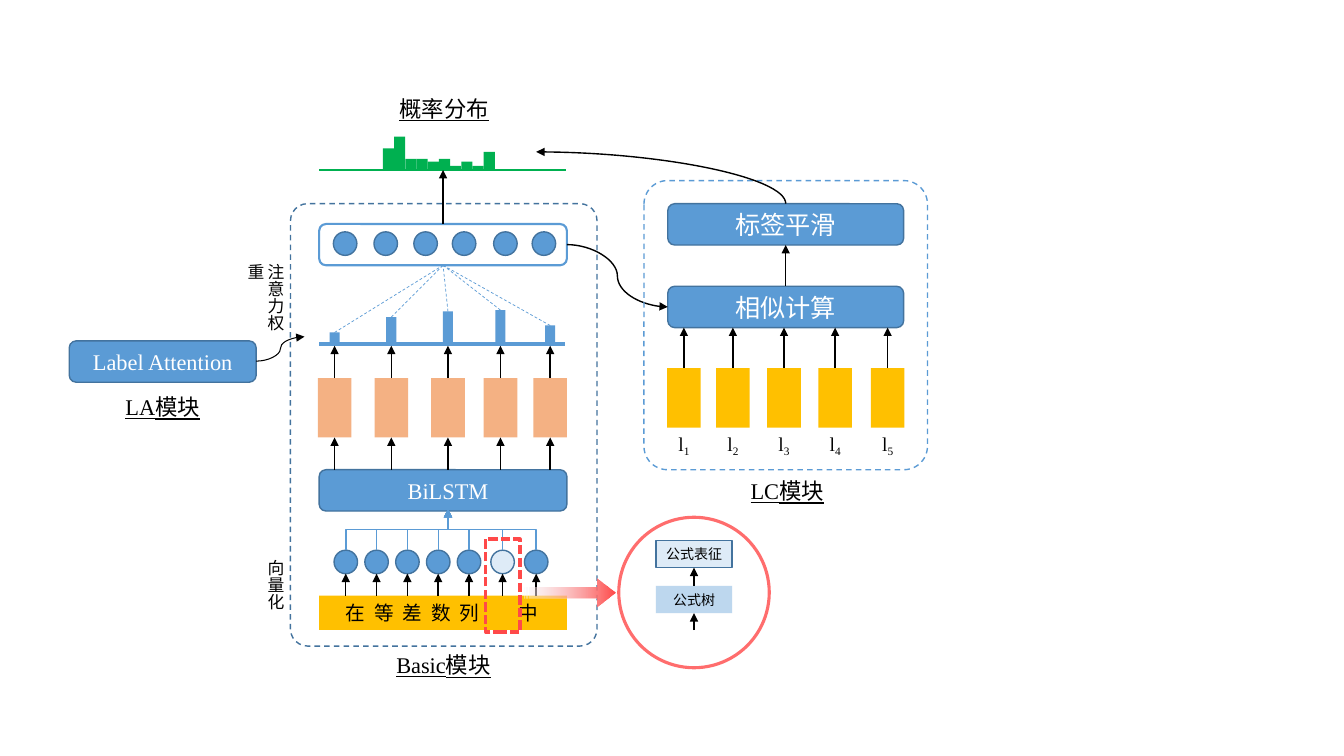
import pptx
import pptx.util
import pptx.dml.color
import pptx.enum.dml
import pptx.enum.shapes
import pptx.enum.text
import pptx.oxml
import pptx.oxml.ns

Pt = pptx.util.Pt
SHAPE = pptx.enum.shapes.MSO_SHAPE
LINK = pptx.enum.shapes.MSO_CONNECTOR
DASH = pptx.enum.dml.MSO_LINE
ALIGN = pptx.enum.text.PP_ALIGN
qn = pptx.oxml.ns.qn

BLUE, EDGE, PALE, SKY = "5B9BD5", "43739E", "DEEBF7", "BDD7EE"
GOLD, SALMON, GREEN, RED = "FFC000", "F4B183", "00B050", "FF4949"
BLACK, WHITE = "000000", "FFFFFF"
SERIF, SANS = "Times New Roman", "Calibri"

TOKENS = ["在", "等", "差", "数", "列", "中"]
TOKEN_TABS = [20.4, 40.8, 61.2, 81.6, 123.9]
EMBEDDING_CENTERS = [247, 269, 291, 313, 335, 359, 383]
FORMULA_INDEX = 5
HIDDEN_CENTERS = [239, 279.5, 320, 357.5, 393]
ATTENTION_HEIGHTS = [8, 19, 23, 24, 13]
OUTPUT_CENTERS = [246.5, 275.5, 304, 331.5, 361, 388.5]
PROBABILITY_HEIGHTS = [15.5, 24, 8, 8, 6, 8, 3, 6, 3, 13]
LABEL_CENTERS = [488.5, 523.5, 560, 596.5, 634]
CAPTIONS = [
    ("概率分布", SANS, 270, 64),
    ("Basic模块", SERIF, 269.5, 461.5),
    ("LC模块", SERIF, 515, 337),
    ("LA模块", SERIF, 69, 277),
]
SIDE_NOTES = [("向量化", 393, 65), ("注意力权重", 181.5, 73.5)]

BASIC_LEFT, BASIC_WIDTH = 228, 177
BOX_HEIGHT, CIRCLE, BLOCK_WIDTH, BLOCK_HEIGHT = 29.5, 16.8, 24, 42.5
TOKEN_TOP, EMBEDDING_TOP, BILSTM_TOP = 425.5, 393, 335.5
HIDDEN_TOP, ATTENTION_BASE, OUTPUT_TOP = 270, 245.5, 160
PROBABILITY_BASE, PROBABILITY_LEFT, PROBABILITY_STEP = 121.5, 273.5, 8
ATTENTION_WIDTH = 7.2
LABEL_TOP = 263

presentation = pptx.Presentation()
presentation.slide_width, presentation.slide_height = Pt(960), Pt(540)
slide = presentation.slides.add_slide(presentation.slide_layouts[6])


def rgb(value):
    return pptx.dml.color.RGBColor.from_string(value)


def set_alpha(color_node, percent):
    pptx.oxml.ns  # noqa
    alpha = color_node.makeelement(qn("a:alpha"), {"val": str(percent * 1000)})
    color_node.append(alpha)


def write(part, text, size=16, font=SERIF, color=WHITE, align=ALIGN.CENTER,
          underline=False, inset=(0, 0), wrap=True, subscript=None):
    frame = part.text_frame
    frame.word_wrap = wrap
    frame.margin_left, frame.margin_right = Pt(inset[0]), Pt(inset[1])
    frame.vertical_anchor = pptx.enum.text.MSO_ANCHOR.MIDDLE
    paragraph = frame.paragraphs[0]
    paragraph.alignment = align
    for piece in filter(None, (text, subscript)):
        run = paragraph.add_run()
        run.text = piece
        run.font.size, run.font.name = Pt(size), font
        run.font.underline = underline
        run.font.color.rgb = rgb(color)
        if piece == subscript:
            run.font._element.set("baseline", "-25000")
    return paragraph


def textbox(left, top, width, height, text, **style):
    box = slide.shapes.add_textbox(Pt(left), Pt(top), Pt(width), Pt(height))
    write(box, text, **style)
    return box


def shape(kind, left, top, width, height, fill=None, line=None, weight=1, dash=None, adjust=()):
    part = slide.shapes.add_shape(kind, Pt(left), Pt(top), Pt(width), Pt(height))
    part.shadow.inherit = False
    for index, value in enumerate(adjust):
        part.adjustments[index] = value
    if fill:
        part.fill.solid()
        part.fill.fore_color.rgb = rgb(fill)
    else:
        part.fill.background()
    if line:
        part.line.color.rgb = rgb(line)
        part.line.width = Pt(weight)
        if dash:
            part.line.dash_style = dash
    else:
        part.line.fill.background()
    return part


def circle(center, top, fill=BLUE):
    return shape(SHAPE.OVAL, center - CIRCLE / 2, top, CIRCLE, CIRCLE, fill, EDGE)


def rounded(left, top, width, text, **style):
    part = shape(SHAPE.ROUNDED_RECTANGLE, left, top, width, BOX_HEIGHT, BLUE, EDGE)
    write(part, text, **style)
    return part


def link(x1, y1, x2, y2, kind=LINK.STRAIGHT, color=BLACK, weight=1, arrow=True,
         dash=None, start=None, end=None):
    part = slide.shapes.add_connector(kind, Pt(x1), Pt(y1), Pt(x2), Pt(y2))
    part.line.color.rgb = rgb(color)
    part.line.width = Pt(weight)
    if dash:
        part.line.dash_style = dash
    if arrow:
        outline = part.line._get_or_add_ln()
        outline.append(outline.makeelement(qn("a:tailEnd"), {"type": "triangle"}))
    properties = part._element.spPr
    properties.append(properties.makeelement(qn("a:effectLst"), {}))
    if start:
        part.begin_connect(*start)
    if end:
        part.end_connect(*end)
    return part


def upward_link(x1, y1, x2, y2, kind, **style):
    middle_x, middle_y = (x1 + x2) / 2, (y1 + y2) / 2
    run, rise = abs(x2 - x1) / 2, (y1 - y2) / 2
    turn = run if x2 > x1 else -run
    part = link(middle_x - rise, middle_y - turn, middle_x + rise, middle_y + turn, kind, **style)
    part._element.spPr.find(qn("a:xfrm")).set("rot", "16200000")
    return part


token_bar = shape(SHAPE.RECTANGLE, BASIC_LEFT, TOKEN_TOP, BASIC_WIDTH, 24.5, GOLD)
token_line = write(token_bar, "\t".join(TOKENS), size=14, font=SANS, color=BLACK,
                   align=ALIGN.LEFT, inset=(18.8, 0))
token_properties = token_line._p.get_or_add_pPr()
tab_list = token_properties.makeelement(qn("a:tabLst"), {})
token_properties.append(tab_list)
for position in TOKEN_TABS:
    tab_list.append(tab_list.makeelement(qn("a:tab"), {"pos": str(int(Pt(position))), "algn": "l"}))

bilstm = rounded(BASIC_LEFT, BILSTM_TOP, BASIC_WIDTH, "BiLSTM", inset=(7.2, 0))
for index, center in enumerate(EMBEDDING_CENTERS):
    circle(center, EMBEDDING_TOP, PALE if index == FORMULA_INDEX else BLUE)
    link(center, TOKEN_TOP, center, EMBEDDING_TOP + CIRCLE)
    upward_link(center, EMBEDDING_TOP, 320, 363.6, LINK.ELBOW, color=BLUE)

output = shape(SHAPE.ROUNDED_RECTANGLE, BASIC_LEFT, OUTPUT_TOP, BASIC_WIDTH, BOX_HEIGHT,
               line=BLUE, weight=1.5)
for center in OUTPUT_CENTERS:
    circle(center, OUTPUT_TOP + 5.6)

link(BASIC_LEFT, ATTENTION_BASE, 403.5, ATTENTION_BASE, color=BLUE, weight=3, arrow=False)
for center, height in zip(HIDDEN_CENTERS, ATTENTION_HEIGHTS):
    hidden = shape(SHAPE.RECTANGLE, center - BLOCK_WIDTH / 2, HIDDEN_TOP,
                   BLOCK_WIDTH, BLOCK_HEIGHT, SALMON)
    weight_bar = shape(SHAPE.RECTANGLE, center - ATTENTION_WIDTH / 2, ATTENTION_BASE - height,
                       ATTENTION_WIDTH, height, BLUE)
    link(center, BILSTM_TOP, center, HIDDEN_TOP + BLOCK_HEIGHT, end=(hidden, 2))
    link(center, HIDDEN_TOP, center, ATTENTION_BASE + 1.5, start=(hidden, 0))
    link(center, ATTENTION_BASE - height, 316.5, OUTPUT_TOP + BOX_HEIGHT, color=BLUE, weight=0.5,
         arrow=False, dash=DASH.DASH, start=(weight_bar, 0), end=(output, 2))
shape(SHAPE.ROUNDED_RECTANGLE, 207.5, 145.5, 219, 316, line=EDGE, dash=DASH.DASH, adjust=[0.056])

rounded(49.5, 243.5, 133.5, "Label Attention")
link(183, 258, 217.5, 240.5, LINK.CURVE, weight=0.75)

link(BASIC_LEFT, PROBABILITY_BASE, 404, PROBABILITY_BASE, color=GREEN, weight=1.5, arrow=False)
for index, height in enumerate(PROBABILITY_HEIGHTS):
    shape(SHAPE.RECTANGLE, PROBABILITY_LEFT + index * PROBABILITY_STEP, PROBABILITY_BASE - height,
          PROBABILITY_STEP, height, GREEN)
link(316.5, OUTPUT_TOP, 316.5, PROBABILITY_BASE, start=(output, 0))

similarity = rounded(477, 204.5, 168.5, "相似计算", size=18, font=SANS)
smoothing = rounded(477, 145.5, 168.5, "标签平滑", size=18, font=SANS)
for number, center in enumerate(LABEL_CENTERS, 1):
    left = center - BLOCK_WIDTH / 2
    label = shape(SHAPE.RECTANGLE, left, LABEL_TOP, BLOCK_WIDTH, BLOCK_HEIGHT, GOLD)
    textbox(left, 305.5, BLOCK_WIDTH, 24.5, "l", subscript=str(number), size=14, color=BLACK)
    link(center, LABEL_TOP, center, 234, start=(label, 0))
link(561.25, 204.5, 561.25, 175, start=(similarity, 0), end=(smoothing, 2))
link(405, 174.75, 477, 219.25, LINK.CURVE)
shape(SHAPE.ROUNDED_RECTANGLE, 460, 129, 202.5, 206.5, line=BLUE, dash=DASH.DASH, adjust=[0.083])
feedback = upward_link(561.25, 145.5, 383, 108.5, LINK.CURVE)
feedback._element.spPr.find(qn("a:prstGeom")).set("prst", "curvedConnector2")

for text, font, left, top in CAPTIONS:
    textbox(left, top, 94.5, 27, text, font=font, color=BLACK, underline=True)
for text, top, height in SIDE_NOTES:
    note = textbox(178.5, top, 29, height, text, size=12, font=SANS, color=BLACK,
                   align=ALIGN.LEFT, inset=(7.2, 7.2))
    note.text_frame.vertical_anchor = pptx.enum.text.MSO_ANCHOR.TOP
    note.text_frame._txBody.bodyPr.set("vert", "eaVert")

shape(SHAPE.RECTANGLE, 347, 385, 24.5, 66.5, line=RED, weight=2.25, dash=DASH.SQUARE_DOT)
zoom_arrow = shape(SHAPE.STRIPED_RIGHT_ARROW, 374.5, 413.5, 65, 19.5, adjust=[0.379, 0.692])
zoom_arrow.fill.gradient()
zoom_arrow.fill.gradient_angle = 0
for stop, color, position in zip(zoom_arrow.fill.gradient_stops, ("F7FAFD", RED), (0, 1)):
    stop.color.rgb = rgb(color)
    stop.position = position
set_alpha(next(zoom_arrow._element.spPr.iter(qn("a:srgbClr"))), 45)

zoom = shape(SHAPE.OVAL, 442, 369.5, 107.5, 107.5, line=RED, weight=2.25)
set_alpha(next(zoom._element.spPr.iter(qn("a:srgbClr"))), 80)
formula_tree = shape(SHAPE.RECTANGLE, 468.5, 418.5, 54.5, 19.5, SKY)
formula_vector = shape(SHAPE.RECTANGLE, 468.5, 386, 54.5, 19.5, PALE, EDGE)
for part, text in ((formula_tree, "公式树"), (formula_vector, "公式表征")):
    write(part, text, size=10, font=SANS, color=BLACK)
link(495.75, 450, 495.75, 438, end=(formula_tree, 2))
link(495.75, 418.5, 495.75, 405.5, start=(formula_tree, 0), end=(formula_vector, 2))

presentation.save("out.pptx")
